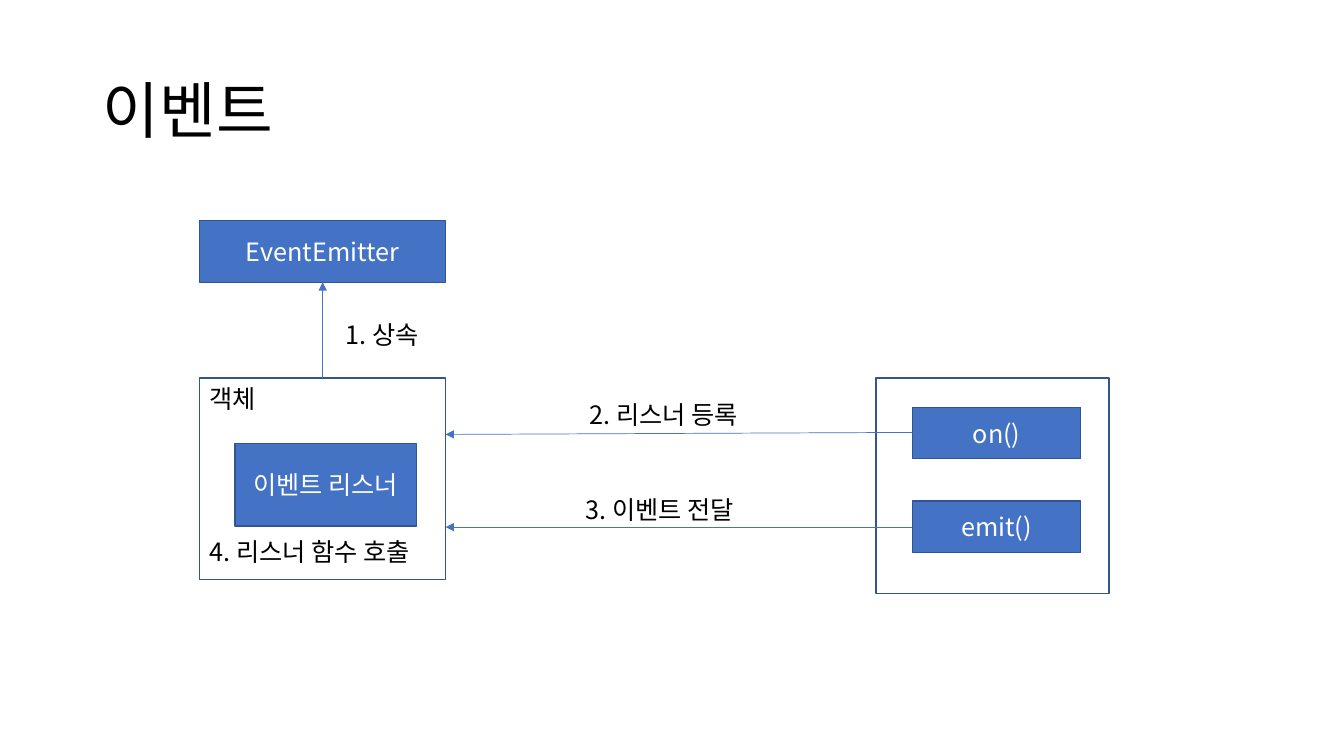
"""Build the event slide: an emitter, its listener object and the calls between them."""
from lxml import etree
from pptx import Presentation
from pptx.dml.color import RGBColor
from pptx.enum.shapes import MSO_CONNECTOR, MSO_SHAPE
from pptx.enum.text import MSO_ANCHOR, MSO_AUTO_SIZE, PP_ALIGN
from pptx.oxml.ns import qn
from pptx.util import Inches, Pt

RECT, LINE = MSO_SHAPE.RECTANGLE, MSO_CONNECTOR.STRAIGHT
TOP, MID = MSO_ANCHOR.TOP, MSO_ANCHOR.MIDDLE
LEFT, CENTER = PP_ALIGN.LEFT, PP_ALIGN.CENTER
FIT = MSO_AUTO_SIZE.SHAPE_TO_FIT_TEXT

THEME = {
    "font": "Noto Sans CJK KR", "title": 44, "body": 18,
    "ink": "000000", "paper": "FFFFFF", "fill": "4472C4", "edge": "325491",
    "border": 1, "arrow": 0.5,
}
WIDE, HIGH = 13.33, 7.5
COL, ROW = 1.98, 3.75
SPAN, CALL = 2.44, (1.67, 0.51)
CALLX, CALLY, STEP = 9.05, 4.04, 0.93

TITLE = ("이벤트", (0.92, 0.4, 11.5, 1.45))
FRAMES = [
    ("객체", (COL, ROW, SPAN, 2)),
    ("", (8.69, ROW, 2.31, 2.14)),
]
EMITTER = ("EventEmitter", (COL, 2.19, SPAN, 0.61))
LISTENER = ("이벤트 리스너", (2.33, 4.4, 1.8, 0.82))
CALLS = [(name, (CALLX, CALLY + i * STEP, *CALL))
         for i, name in enumerate(("on()", "emit()"))]
LABELS = [
    ("1. 상속", (3.33, 3.12, 0.99, 0.4)),
    ("2. 리스너 등록", (5.75, 3.91, 1.84, 0.4)),
    ("3. 이벤트 전달", (5.71, 4.85, 1.84, 0.4)),
    ("4. 리스너 함수 호출", (COL, 5.27, 2.43, 0.4)),
]
AXIS, EDGE = COL + SPAN / 2, COL + SPAN
ARROWS = [
    ((AXIS, ROW), (AXIS, 2.8)),
    ((CALLX, 4.29), (EDGE, 4.31)),
    ((CALLX, 5.23), (EDGE, 5.23)),
]


def tint(key):
    return RGBColor.from_string(THEME[key])


def write(shape, text, size="body", ink="ink", align=LEFT, anchor=TOP):
    frame = shape.text_frame
    frame.vertical_anchor = anchor
    frame.text = text
    para = frame.paragraphs[0]
    para.alignment = align
    para.font.size = Pt(THEME[size])
    para.font.name = THEME["font"]
    para.font.color.rgb = tint(ink)
    props = para._p.pPr.find(qn("a:defRPr"))
    etree.SubElement(props, qn("a:ea"), typeface=THEME["font"])
    return para


def box(text, area, solid=True):
    shape = shapes.add_shape(RECT, *map(Inches, area))
    shape.shadow.inherit = False
    shape.line.color.rgb = tint("edge")
    shape.line.width = Pt(THEME["border"])
    if solid:
        shape.fill.solid()
        shape.fill.fore_color.rgb = tint("fill")
        write(shape, text, ink="paper", align=CENTER, anchor=MID)
    else:
        shape.fill.background()
        if text:
            write(shape, text)


def label(text, area):
    shape = shapes.add_textbox(*map(Inches, area))
    shape.text_frame.word_wrap = False
    shape.text_frame.auto_size = FIT
    write(shape, text)


def arrow(start, end):
    line = shapes.add_connector(LINE, *map(Inches, start + end))
    line.line.color.rgb = tint("fill")
    line.line.width = Pt(THEME["arrow"])
    etree.SubElement(line.line._get_or_add_ln(), qn("a:tailEnd"), type="triangle")
    etree.SubElement(line._element.spPr, qn("a:effectLst"))


deck = Presentation()
deck.slide_width, deck.slide_height = Inches(WIDE), Inches(HIGH)
shapes = deck.slides.add_slide(deck.slide_layouts[6]).shapes

text, area = TITLE
head = shapes.add_textbox(*map(Inches, area))
head.text_frame.word_wrap = True
write(head, text, size="title", anchor=MID).line_spacing = 0.9

for item in FRAMES:
    box(*item, solid=False)
for item in [EMITTER, LISTENER, *CALLS]:
    box(*item)
for ends in ARROWS:
    arrow(*ends)
for item in LABELS:
    label(*item)

deck.save("out.pptx")
